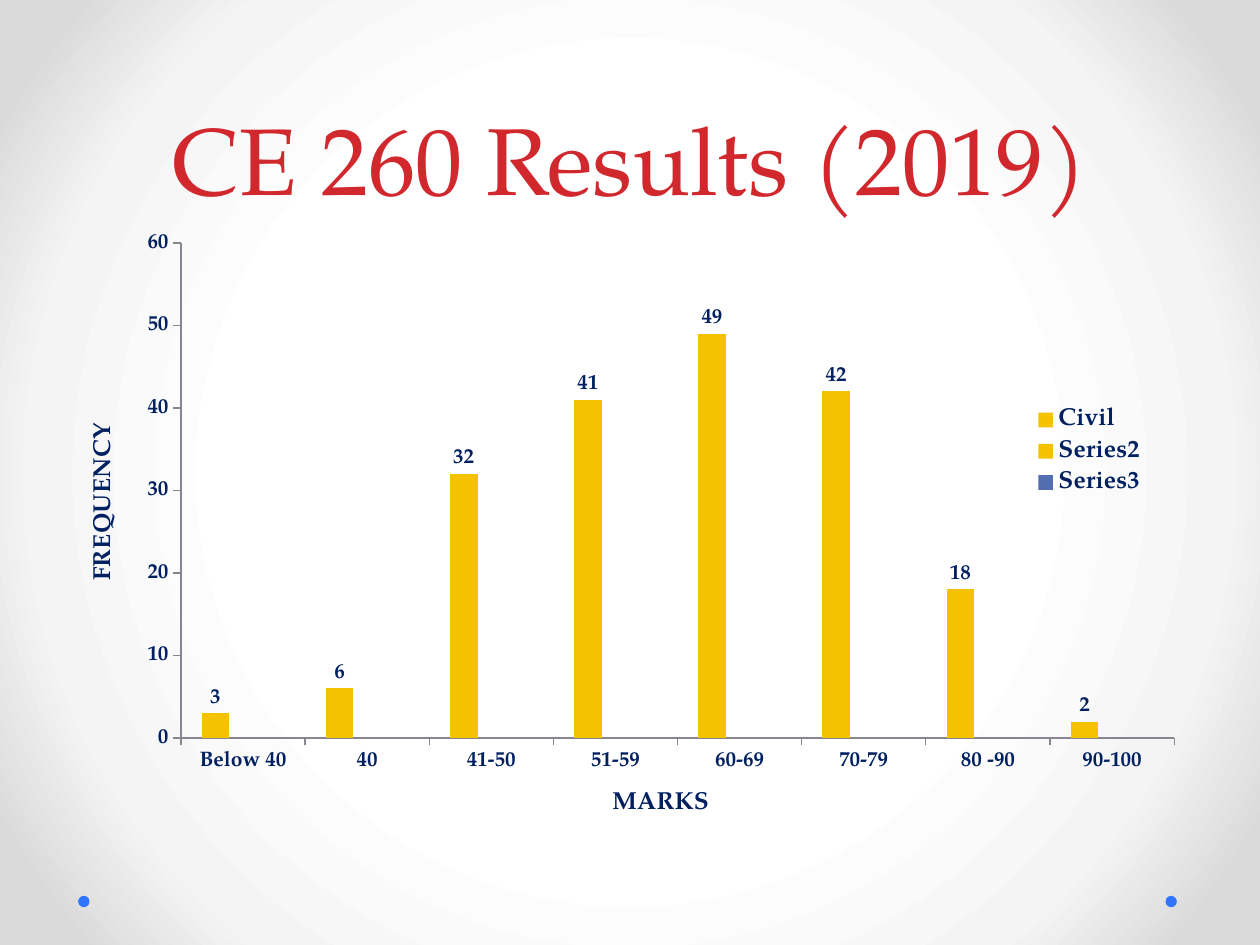
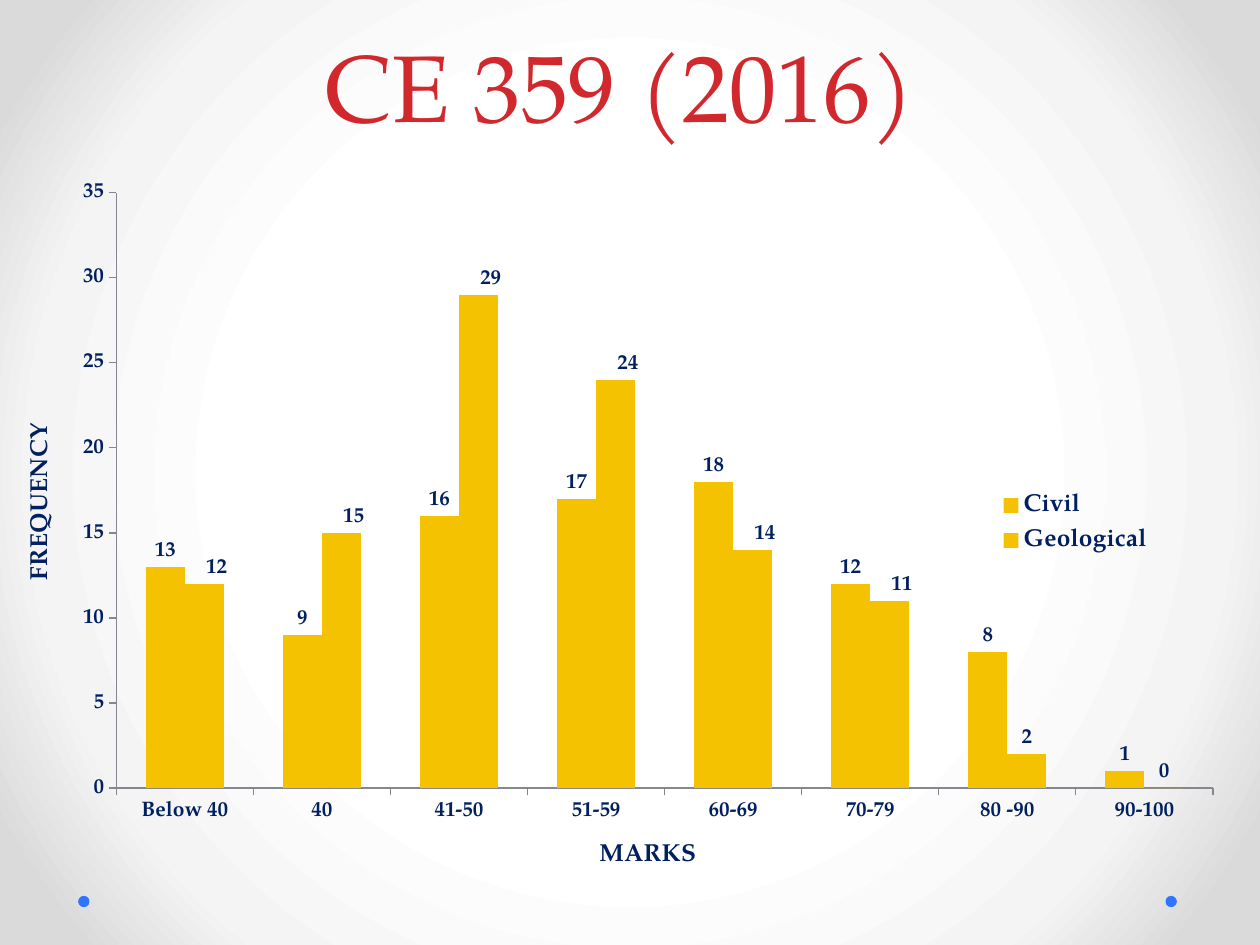
from dataclasses import dataclass
from typing import Any

import pptx
import pptx.chart.data
import pptx.dml.color
import pptx.enum.chart
import pptx.enum.shapes
import pptx.enum.text
import pptx.oxml
import pptx.oxml.ns
import pptx.util

Inches = pptx.util.Inches
Pt = pptx.util.Pt
qn = pptx.oxml.ns.qn

COLORS = {
    "title": "D1282E",
    "text": "002060",
    "dot": "3075FF",
    "gold": "F5C201",
    "blue": "526DB0",
    "axis": "868691",
}
BACKGROUND_STOPS = {50: "FFFFFF", 76: "F4F4F4", 92: "DADADA"}
FONT = "TeX Gyre Pagella"
TITLE_FONT = {"name": FONT, "size": Pt(54), "bold": False}
CHART_FONT = {"name": FONT, "size": Pt(10)}
LABEL_FONT = {"name": FONT, "size": Pt(12), "bold": True}
HEADING_FONT = {"name": FONT, "size": Pt(14), "bold": True}
MARK_BANDS = ["Below 40", "40", "41-50", "51-59", "60-69", "70-79", "80 -90", "90-100"]
DOT_LEFTS = (9.25, 0.62)

Frame = tuple[float, float, float, float]


@dataclass
class MarkSeries:
    name: str
    values: list[int | None]
    color: str = "gold"
    shifted_labels: int = 0


@dataclass
class ResultSlide:
    title: str
    title_frame: Frame
    chart_frame: Frame
    plot_layout: Frame
    legend_layout: Frame
    maximum: int
    step: int
    series: list[MarkSeries]


RESULTS = [
    ResultSlide(
        "CE 260 Results (2019)", (0.5, 0, 9, 1.75), (0.5, 1.75, 9, 4.95),
        (0.104, 0.036, 0.876, 0.794), (0.85, 0.29, 0.11, 0.16), 60, 10,
        [
            MarkSeries("Civil", [3, 6, 32, 41, 49, 42, 18, 2]),
            MarkSeries("Series2", [None] * len(MARK_BANDS)),
            MarkSeries("Series3", [None] * len(MARK_BANDS), "blue"),
        ],
    ),
    ResultSlide(
        "CE 359 (2016)", (0.42, 0, 9, 1.17), (0.17, 1.42, 9.67, 5.75),
        (0.078, 0.019, 0.9, 0.822), (0.8, 0.42, 0.13, 0.11), 35, 5,
        [
            MarkSeries("Civil", [13, 9, 16, 17, 18, 12, 8, 1]),
            MarkSeries("Geological", [12, 15, 29, 24, 14, 11, 2, 0], shifted_labels=6),
        ],
    ),
]


def rgb(name: str) -> Any:
    return pptx.dml.color.RGBColor.from_string(COLORS[name])


def set_values(target: Any, values: dict[str, Any]) -> None:
    for name, value in values.items():
        setattr(target, name, value)


def set_font(font: Any, values: dict[str, Any], color: str = "text") -> None:
    set_values(font, values)
    font.color.rgb = rgb(color)


def set_fill(fill: Any, color: str) -> None:
    fill.solid()
    fill.fore_color.rgb = rgb(color)


def inches(frame: Frame) -> list[Any]:
    return [Inches(length) for length in frame]


def paint_background(page: Any) -> None:
    page.background.fill.gradient()
    gradient = page.element.find(".//" + qn("a:gradFill"))
    stops = "".join(
        f'<a:gs pos="{position * 1000}"><a:srgbClr val="{color}"/></a:gs>'
        for position, color in BACKGROUND_STOPS.items()
    )
    circle = pptx.oxml.parse_xml(
        f'<a:gradFill {pptx.oxml.ns.nsdecls("a")} rotWithShape="1"><a:gsLst>{stops}</a:gsLst>'
        '<a:path path="circle"><a:fillToRect l="50000" t="50000" r="50000" b="50000"/></a:path>'
        "</a:gradFill>"
    )
    gradient.getparent().replace(gradient, circle)


def add_dots(page: Any) -> None:
    for left in DOT_LEFTS:
        dot = page.shapes.add_shape(
            pptx.enum.shapes.MSO_SHAPE.OVAL, *inches((left, 7.11, 0.09, 0.09))
        )
        dot.shadow.inherit = False
        set_fill(dot.fill, "dot")
        dot.line.fill.background()


def add_title(page: Any, title: str, frame: Frame) -> None:
    box = page.shapes.add_textbox(*inches(frame))
    set_values(box.text_frame, {
        "word_wrap": True,
        "vertical_anchor": pptx.enum.text.MSO_ANCHOR.BOTTOM,
    })
    para = box.text_frame.paragraphs[0]
    set_values(para, {"alignment": pptx.enum.text.PP_ALIGN.CENTER, "line_spacing": Pt(58)})
    span = para.add_run()
    span.text = title
    set_font(span.font, TITLE_FONT, "title")


def manual_layout(values: dict[str, Any]) -> Any:
    entries = "".join(f'<c:{name} val="{value}"/>' for name, value in values.items())
    return pptx.oxml.parse_xml(
        f'<c:layout {pptx.oxml.ns.nsdecls("c")}>'
        f"<c:manualLayout>{entries}</c:manualLayout></c:layout>"
    )


def place(parent: Any, index: int, frame: Frame, inner: bool = False) -> None:
    for layout in parent.findall(qn("c:layout")):
        parent.remove(layout)
    target = {"layoutTarget": "inner"} if inner else {}
    modes = {"xMode": "edge", "yMode": "edge"}
    parent.insert(index, manual_layout(target | modes | dict(zip("xywh", frame))))


def format_axis(axis: Any, title: str) -> None:
    set_values(axis, {
        "has_major_gridlines": False,
        "has_title": True,
        "major_tick_mark": pptx.enum.chart.XL_TICK_MARK.OUTSIDE,
        "minor_tick_mark": pptx.enum.chart.XL_TICK_MARK.NONE,
    })
    set_font(axis.tick_labels.font, LABEL_FONT)
    axis.format.line.color.rgb = rgb("axis")
    axis.format.line.width = Pt(0.75)
    para = axis.axis_title.text_frame.paragraphs[0]
    span = para.add_run()
    span.text = title
    set_font(span.font, HEADING_FONT)


def format_series(drawn: Any, marks: MarkSeries) -> None:
    set_fill(drawn.format.fill, marks.color)
    drawn.invert_if_negative = False
    outside = pptx.enum.chart.XL_LABEL_POSITION.OUTSIDE_END
    drawn.data_labels.show_value = True
    drawn.data_labels.position = outside
    set_font(drawn.data_labels.font, LABEL_FONT)
    for index in range(marks.shifted_labels):
        label = drawn.points[index].data_label
        set_font(label.font, LABEL_FONT)
        label.position = outside
    for label in drawn.data_labels._element.findall(qn("c:dLbl")):
        label.insert(1, manual_layout({"x": 0.01, "y": 0}))


def add_mark_chart(page: Any, result: ResultSlide) -> None:
    data = pptx.chart.data.CategoryChartData()
    data.categories = MARK_BANDS
    for marks in result.series:
        data.add_series(marks.name, marks.values)
    chart = page.shapes.add_chart(
        pptx.enum.chart.XL_CHART_TYPE.COLUMN_CLUSTERED, *inches(result.chart_frame), data
    ).chart
    set_font(chart.font, CHART_FONT)
    set_values(chart, {"has_title": False, "has_legend": True})
    set_values(chart.legend, {
        "position": pptx.enum.chart.XL_LEGEND_POSITION.RIGHT,
        "include_in_layout": True,
    })
    set_font(chart.legend.font, HEADING_FONT)
    set_values(chart.plots[0], {"gap_width": 150, "overlap": 0, "vary_by_categories": False})
    format_axis(chart.category_axis, "MARKS")
    format_axis(chart.value_axis, "FREQUENCY")
    set_values(chart.value_axis, {
        "minimum_scale": 0,
        "maximum_scale": result.maximum,
        "major_unit": result.step,
    })
    for drawn, marks in zip(chart.plots[0].series, result.series):
        format_series(drawn, marks)
    place(chart.element.find(".//" + qn("c:plotArea")), 0, result.plot_layout, inner=True)
    place(chart.element.find(".//" + qn("c:legend")), 1, result.legend_layout)


def main() -> None:
    deck = pptx.Presentation()
    set_values(deck, {"slide_width": Inches(10), "slide_height": Inches(7.5)})
    for result in RESULTS:
        page = deck.slides.add_slide(deck.slide_layouts[6])
        paint_background(page)
        add_dots(page)
        add_title(page, result.title, result.title_frame)
        add_mark_chart(page, result)
    deck.save("out.pptx")


if __name__ == "__main__":
    main()
